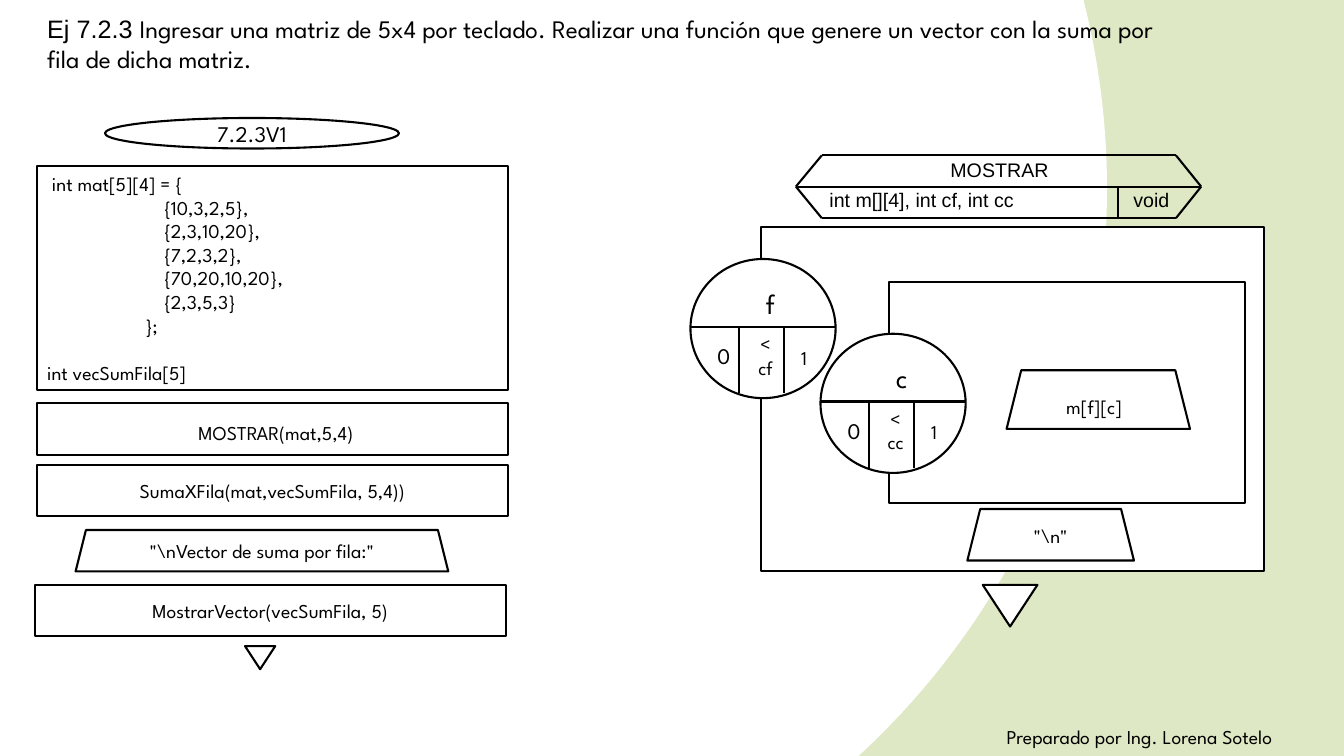
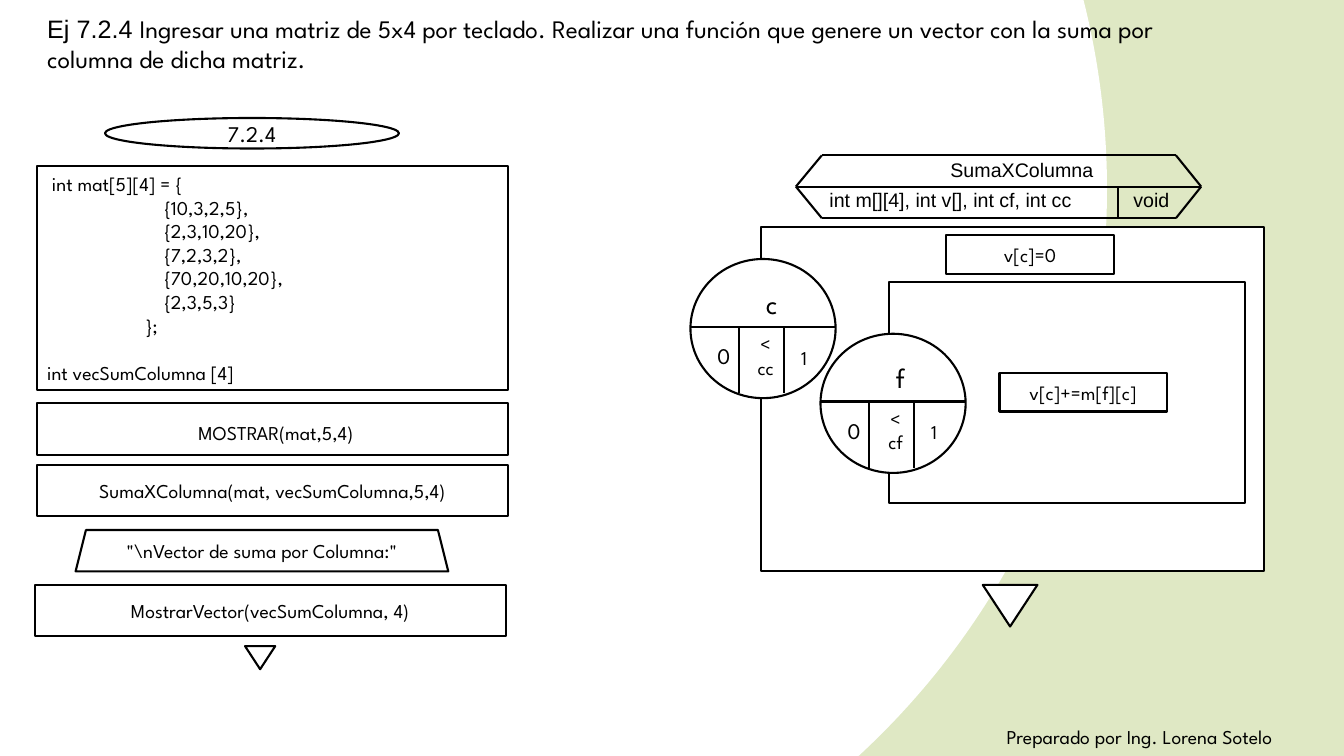
from dataclasses import dataclass
from typing import Optional

from lxml import etree
from pptx import Presentation
from pptx.dml.color import RGBColor
from pptx.enum.shapes import MSO_CONNECTOR, MSO_SHAPE
from pptx.enum.text import MSO_ANCHOR, PP_ALIGN
from pptx.oxml import parse_xml
from pptx.oxml.ns import qn
from pptx.util import Pt

PROCESS = MSO_SHAPE.FLOWCHART_PROCESS
RECTANGLE = MSO_SHAPE.RECTANGLE
OVAL = MSO_SHAPE.OVAL
TRAPEZOID = MSO_SHAPE.TRAPEZOID
TRIANGLE = MSO_SHAPE.ISOSCELES_TRIANGLE
STRAIGHT = MSO_CONNECTOR.STRAIGHT
LEFT, CENTER = PP_ALIGN.LEFT, PP_ALIGN.CENTER
TOP, MIDDLE = MSO_ANCHOR.TOP, MSO_ANCHOR.MIDDLE

COLORS = {"ink": "000000", "paper": "FFFFFF", "sage": "DFE8C4"}
SPARTAN, ARIAL = "League Spartan", "Arial"
LINE_WIDTH = 1.5
BLANK_LAYOUT = 6
CODE_PITCH = 16.9
ROW_INDENT = 83.5
MATRIX_ROWS = ("{10,3,2,5},", "{2,3,10,20},", "{7,2,3,2},", "{70,20,10,20},", "{2,3,5,3}")
DRAWING_NS = "http://schemas.openxmlformats.org/drawingml/2006/main"


@dataclass
class Span:
    text: str
    size: float = 14
    font: str = SPARTAN


@dataclass
class Para:
    spans: list[Span]
    align: int = LEFT
    indent: float = 0
    space_before: float = 0


@dataclass
class Node:
    kind: int
    left: float
    top: float
    width: float
    height: float
    spans: tuple[Span, ...] = ()
    fill: Optional[str] = "paper"


@dataclass
class Counter:
    left: float
    top: float
    name: str
    limit: str


@dataclass
class Exercise:
    number: str
    task: str
    start: str
    vector: str
    call: str
    message: str
    show_call: str
    function: str
    parameters: str
    outer: tuple[str, str]
    inner: tuple[str, str]
    steps: list[Node]


EXERCISES = [
    Exercise(
        "Ej 7.2.3 ",
        "Ingresar una matriz de 5x4 por teclado. Realizar una función que genere un vector "
        "con la suma por fila de dicha matriz.",
        "7.2.3V1", "int vecSumFila[5]", "SumaXFila(mat,vecSumFila, 5,4))",
        '"\\nVector de suma por fila:"', "MostrarVector(vecSumFila, 5)",
        "MOSTRAR", "int m[][4], int cf, int cc", ("f", "cf"), ("c", "cc"),
        [
            Node(TRAPEZOID, 719, 264.5, 131, 41.8, (Span("m[f][c]"), Span(" ", 24))),
            Node(TRAPEZOID, 691, 363.6, 119, 36.8, (Span('"\\n"'),)),
        ],
    ),
    Exercise(
        "Ej 7.2.4 ",
        "Ingresar una matriz de 5x4 por teclado. Realizar una función que genere un vector "
        "con la suma por columna de dicha matriz.",
        "7.2.4", "int vecSumColumna [4]", "SumaXColumna(mat, vecSumColumna,5,4)",
        '"\\nVector de suma por Columna:"', "MostrarVector(vecSumColumna, 4)",
        "SumaXColumna", "int m[][4], int v[], int cf, int cc", ("c", "cc"), ("f", "cf"),
        [
            Node(PROCESS, 676, 168, 119.5, 27.4, (Span("v[c]=0"),)),
            Node(PROCESS, 714, 266.5, 119.5, 27.4, (Span("v[c]+=m[f][c]"),)),
        ],
    ),
]


def rgb(name: str) -> RGBColor:
    return RGBColor.from_string(COLORS[name])


def apply(target, values: dict) -> None:
    for name, value in values.items():
        setattr(target, name, value)


def write(frame, paras: list[Para], anchor: int) -> None:
    apply(frame, {"word_wrap": True, "vertical_anchor": anchor})
    for index, item in enumerate(paras):
        para = frame.paragraphs[0] if index == 0 else frame.add_paragraph()
        apply(para, {"alignment": item.align, "space_before": Pt(item.space_before)})
        if item.indent:
            para._p.get_or_add_pPr().set("marL", str(int(Pt(item.indent))))
        for span in item.spans:
            run = para.add_run()
            run.text = span.text
            apply(run.font, {"name": span.font, "size": Pt(span.size)})
            run.font.color.rgb = rgb("ink")


def add_label(page, left: float, top: float, width: float, height: float,
              paras: list[Para]) -> None:
    box = page.shapes.add_textbox(Pt(left), Pt(top), Pt(width), Pt(height))
    write(box.text_frame, paras, TOP)


def add_node(shapes, node: Node, paras: Optional[list[Para]] = None):
    shape = shapes.add_shape(node.kind, Pt(node.left), Pt(node.top),
                             Pt(node.width), Pt(node.height))
    shape.shadow.inherit = False
    if node.fill:
        shape.fill.solid()
        shape.fill.fore_color.rgb = rgb(node.fill)
    else:
        shape.fill.background()
    shape.line.color.rgb = rgb("ink")
    shape.line.width = Pt(LINE_WIDTH)
    if node.spans:
        paras = [Para(list(node.spans), CENTER)]
    if paras:
        write(shape.text_frame, paras, MIDDLE)
    return shape


def add_line(shapes, start: tuple[float, float], end: tuple[float, float]) -> None:
    line = shapes.add_connector(STRAIGHT, *(Pt(value) for value in (*start, *end)))
    line.line.color.rgb = rgb("ink")
    line.line.width = Pt(LINE_WIDTH)
    etree.SubElement(line._element.spPr, qn("a:effectLst"))


def add_end_marker(page, left: float, top: float, width: float, height: float) -> None:
    add_node(page.shapes, Node(TRIANGLE, left, top, width, height)).rotation = 180


def add_counter(page, counter: Counter) -> None:
    left, top, width, height = counter.left, counter.top, 103.7, 99.4
    middle, bottom = top + 48.4, top + 95.8
    group = page.shapes.add_group_shape()
    add_node(group.shapes, Node(OVAL, left, top, width, height))
    add_line(group.shapes, (left, middle), (left + width, middle))
    for offset in (34.6, 67):
        add_line(group.shapes, (left + offset, middle), (left + offset, bottom))
    add_label(page, left + 46.8, top + 15.8, 15, 31.7, [Para([Span(counter.name, 20)])])
    add_label(page, left + 12.2, top + 56.2, 15, 26.6, [Para([Span("0", 16)])])
    add_label(page, left + 36.7, top + 48.6, 34, 41,
              [Para([Span(text)], CENTER) for text in ("<", counter.limit)])
    add_label(page, left + 72, top + 58.3, 27.4, 24.5, [Para([Span("1")])])


def add_function_header(page, exercise: Exercise) -> None:
    top, middle, bottom = 111, 133.3, 155.8
    left, inner_left, divider, inner_right, right = 568.5, 587, 798.8, 840, 858
    outline = [(left, middle), (inner_left, top), (inner_right, top),
               (right, middle), (inner_right, bottom), (inner_left, bottom)]
    add_label(page, 585.4, 131, 212, 24.5, [Para([Span(exercise.parameters, 14, ARIAL)])])
    add_label(page, 802.5, 131, 50, 24.5, [Para([Span("void", 14, ARIAL)])])
    for start, end in zip(outline, outline[1:] + outline[:1]):
        add_line(page.shapes, start, end)
    add_line(page.shapes, (left, middle), (right, middle))
    add_line(page.shapes, (divider, middle), (divider, bottom))
    add_label(page, 671.8, 109.4, 127.4, 24.5, [Para([Span(exercise.function, 14, ARIAL)])])


def add_main_flow(page, exercise: Exercise) -> None:
    left, width, height = 26.6, 336.2, 36.8
    code = [Para([Span("int mat[5][4] = {")], indent=3.5)]
    code += [Para([Span(row)], indent=ROW_INDENT) for row in MATRIX_ROWS]
    code += [Para([Span("};")], indent=70),
             Para([Span(exercise.vector)], space_before=CODE_PITCH)]
    add_node(page.shapes, Node(PROCESS, left, 118.8, width, 159.8), code)
    for node in (
        Node(OVAL, 75, 84.3, 210, 21.8, (Span(exercise.start, 16),), None),
        Node(PROCESS, left, 288, width, height, (Span(" ", 20), Span("MOSTRAR(mat,5,4)"))),
        Node(PROCESS, left, 332, width, height, (Span(exercise.call),)),
        Node(TRAPEZOID, 54, 378.6, 266.2, 29.5, (Span(exercise.message),), None),
        Node(PROCESS, 25, 417.8, width, height, (Span(exercise.show_call),)),
    ):
        add_node(page.shapes, node)
    add_end_marker(page, 175, 461.5, 21.6, 16.5)


def add_function_flow(page, exercise: Exercise) -> None:
    add_function_header(page, exercise)
    add_node(page.shapes, Node(RECTANGLE, 543.6, 162, 359, 245.8))
    add_counter(page, Counter(493.2, 185, *exercise.outer))
    add_end_marker(page, 702, 417.8, 39, 29.7)
    add_node(page.shapes, Node(RECTANGLE, 635, 201.5, 254.3, 157.7))
    add_counter(page, Counter(586.1, 238.4, *exercise.inner))
    for step in exercise.steps:
        add_node(page.shapes, step)


def add_exercise(deck, exercise: Exercise) -> None:
    page = deck.slides.add_slide(deck.slide_layouts[BLANK_LAYOUT])
    add_label(page, 26.6, 5.8, 805, 51,
              [Para([Span(exercise.number, 18, ARIAL), Span(exercise.task, 18)])])
    add_label(page, 712, 514, 240.5, 24.5, [Para([Span("Preparado por Ing. Lorena Sotelo")])])
    add_main_flow(page, exercise)
    add_function_flow(page, exercise)


def set_background(deck) -> None:
    master = deck.slide_master
    master.background.fill.solid()
    stops = "".join(f'<a:gs pos="100000"><a:srgbClr val="{COLORS[name]}"/></a:gs>'
                    for name in ("paper", "sage"))
    gradient = parse_xml(
        f'<a:gradFill xmlns:a="{DRAWING_NS}" rotWithShape="1"><a:gsLst>{stops}</a:gsLst>'
        '<a:path path="circle"><a:fillToRect l="50000" t="50000" r="100000" b="100000"/>'
        "</a:path></a:gradFill>")
    solid = master.element.xpath(".//p:bgPr/a:solidFill")[0]
    solid.getparent().replace(solid, gradient)


def main() -> None:
    deck = Presentation()
    apply(deck, {"slide_width": Pt(960), "slide_height": Pt(540)})
    set_background(deck)
    for exercise in EXERCISES:
        add_exercise(deck, exercise)
    deck.save("out.pptx")


if __name__ == "__main__":
    main()
